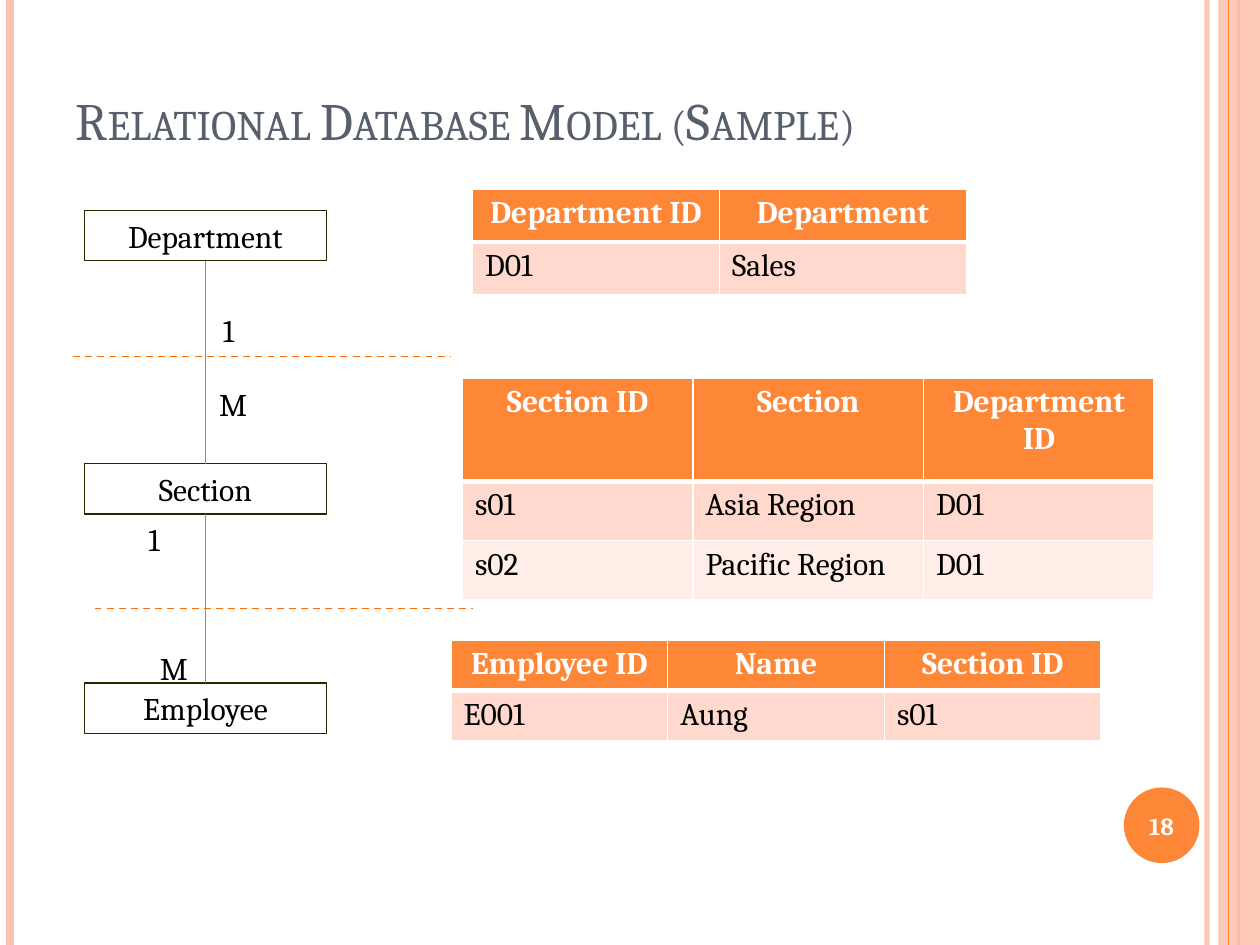
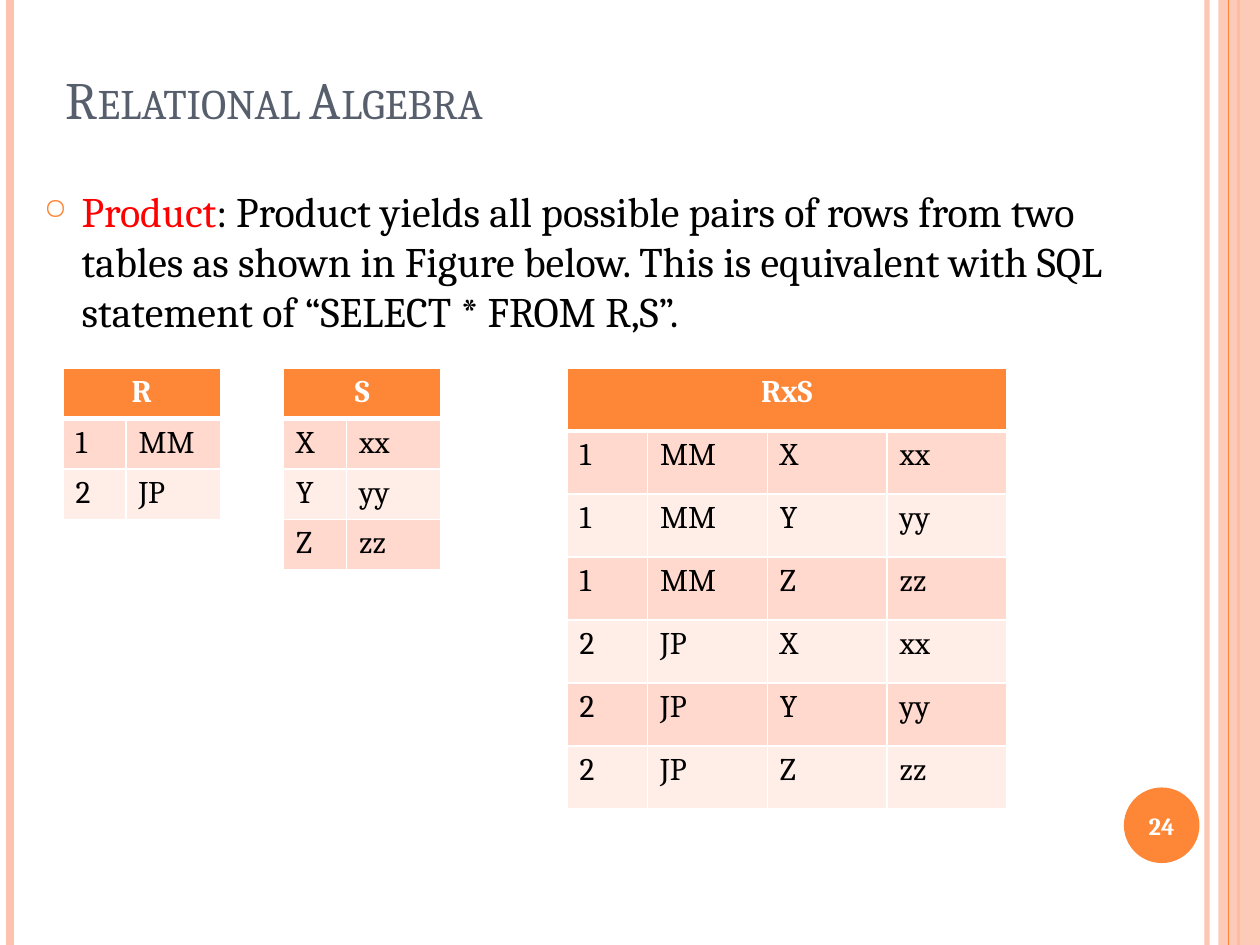
"""Builds two slides on the relational database model and relational algebra."""
import lxml.etree
import pptx
import pptx.dml.color
import pptx.enum.dml
import pptx.enum.shapes
import pptx.enum.text
import pptx.oxml.ns
import pptx.util

Inches = pptx.util.Inches
Pt = pptx.util.Pt
qn = pptx.oxml.ns.qn
ALIGN = pptx.enum.text.PP_ALIGN
ANCHOR = pptx.enum.text.MSO_ANCHOR
SHAPE = pptx.enum.shapes.MSO_SHAPE


def rgb(code):
    return pptx.dml.color.RGBColor.from_string(code)


def add_xml(parent, tag, **attributes):
    child = lxml.etree.SubElement(parent, qn(tag))
    for key, value in attributes.items():
        child.set(key, str(value))
    return child


def write(frame, text, size=18, color="000000", bold=False, align=ALIGN.LEFT,
          small_caps=False):
    paragraph = frame.paragraphs[0]
    paragraph.alignment = align
    run = paragraph.add_run()
    run.text = text
    run.font.name = "Cambria"
    run.font.size = Pt(size)
    run.font.bold = bold
    run.font.color.rgb = rgb(color)
    if small_caps:
        run.font._element.set("cap", "small")
    return paragraph


class Deck:
    ACCENT, BAND, WHITE = "FE8637", "FEC3AE", "FFFFFF"
    TITLE, LINK, OUTLINE = "575F6D", "FF6B0A", "292400"
    STRIPES = ("FFD9CE", "FFEDE8")

    def __init__(self):
        self.show = pptx.Presentation()
        self.show.slide_width = Inches(10)
        self.show.slide_height = Inches(7.5)
        self.slide = None

    def add_slide(self, title, title_box, number):
        self.slide = self.show.slides.add_slide(self.show.slide_layouts[5])
        self.decorate(number)
        heading = self.slide.shapes.title
        heading.left, heading.top, heading.width, heading.height = map(Inches, title_box)
        heading.text_frame.vertical_anchor = ANCHOR.BOTTOM
        heading.text_frame.auto_size = pptx.enum.text.MSO_AUTO_SIZE.NONE
        write(heading.text_frame, title, size=30, color=self.TITLE, small_caps=True)

    def decorate(self, number):
        for x, color, width, alpha in ((9.58, self.BAND, 3, 93), (0.08, self.BAND, 4.5, 100),
                                       (9.83, self.ACCENT, 1.5, 100)):
            self.line((x, 0), (x, 7.5), color, width, alpha=alpha)
        self.shape(SHAPE.RECTANGLE, (9.67, 0, 0.33, 7.5), fill=self.BAND, alpha=87)
        self.line((9.75, 0), (9.75, 7.5), self.ACCENT, 0.75)
        badge = self.shape(SHAPE.OVAL, (8.92, 6.25, 0.6, 0.6), fill=self.ACCENT)
        frame = badge.text_frame
        frame.margin_left = frame.margin_right = 0
        frame.vertical_anchor = ANCHOR.MIDDLE
        write(frame, number, size=14, color=self.WHITE, bold=True, align=ALIGN.CENTER)

    def fade(self, item, alpha):
        if alpha < 100:
            for color in item._element.spPr.iter(qn("a:srgbClr")):
                add_xml(color, "a:alpha", val=alpha * 1000)

    def shape(self, kind, box, fill=None, outline=None, alpha=100):
        item = self.slide.shapes.add_shape(kind, *map(Inches, box))
        item.shadow.inherit = False
        if fill:
            item.fill.solid()
            item.fill.fore_color.rgb = rgb(fill)
        else:
            item.fill.background()
        if outline:
            item.line.color.rgb = rgb(outline)
            item.line.width = Pt(0.75)
        else:
            item.line.fill.background()
        self.fade(item, alpha)
        return item

    def line(self, start, end, color, width, alpha=100, dashed=False):
        item = self.slide.shapes.add_connector(
            pptx.enum.shapes.MSO_CONNECTOR.STRAIGHT, *map(Inches, start + end))
        item.line.color.rgb = rgb(color)
        item.line.width = Pt(width)
        if dashed:
            item.line.dash_style = pptx.enum.dml.MSO_LINE.DASH
        self.fade(item, alpha)
        add_xml(item._element.spPr, "a:effectLst")
        return item

    def entity(self, name, top):
        item = self.shape(SHAPE.RECTANGLE, (0.67, top, 1.92, 0.4), outline=self.OUTLINE)
        frame = item.text_frame
        frame.vertical_anchor = ANCHOR.TOP
        frame.auto_size = pptx.enum.text.MSO_AUTO_SIZE.SHAPE_TO_FIT_TEXT
        write(frame, name, align=ALIGN.CENTER)
        return item

    def relation(self, parent, child):
        link = self.line((0, 0), (1, 1), self.LINK, 1)
        link.begin_connect(parent, 2)
        link.end_connect(child, 0)

    def text_box(self, box):
        frame = self.slide.shapes.add_textbox(*map(Inches, box)).text_frame
        frame.word_wrap = True
        return frame

    def bullet(self, box, term, explanation):
        frame = self.text_box(box)
        write(frame, term, size=24, color="FF0000")
        paragraph = write(frame, explanation, size=24)
        paragraph.space_before = Pt(6)
        properties = paragraph._p.get_or_add_pPr()
        properties.set("marL", str(Inches(0.3)))
        properties.set("indent", str(Inches(-0.3)))
        add_xml(add_xml(properties, "a:buClr"), "a:srgbClr", val=self.ACCENT)
        add_xml(properties, "a:buSzPct", val=70000)
        add_xml(properties, "a:buChar", char="○")

    def border(self, cell, top, bottom):
        properties = cell._tc.get_or_add_tcPr()
        for side, width in (("L", 1), ("R", 1), ("T", top), ("B", bottom)):
            edge = add_xml(properties, "a:ln" + side, w=Pt(width))
            add_xml(add_xml(edge, "a:solidFill"), "a:srgbClr", val=self.WHITE)

    def table(self, left, top, widths, heights, header, records):
        grid = self.slide.shapes.add_table(
            len(heights), len(widths), Inches(left), Inches(top),
            Inches(sum(widths)), Inches(sum(heights))).table
        for column, width in zip(grid.columns, widths):
            column.width = Inches(width)
        for row, height in zip(grid.rows, heights):
            row.height = Inches(height)
        if len(header) < len(widths):
            grid.cell(0, 0).merge(grid.cell(0, len(widths) - 1))
        for r in range(len(heights)):
            for c in range(len(widths)):
                cell = grid.cell(r, c)
                self.border(cell, 3 if r == 1 else 1, 3 if r == 0 else 1)
                cell.fill.solid()
                cell.fill.fore_color.rgb = rgb(self.STRIPES[(r - 1) % 2] if r else self.ACCENT)
        for c, label in enumerate(header):
            write(grid.cell(0, c).text_frame, label, color=self.WHITE, bold=True,
                  align=ALIGN.CENTER)
        for r, record in enumerate(records, 1):
            for c, value in enumerate(record):
                write(grid.cell(r, c).text_frame, value)


def add_database_model(deck):
    deck.add_slide("Relational Database Model (Sample)", (0.5, 0, 8.17, 1.25), "18")
    department = deck.entity("Department", 1.67)
    section = deck.entity("Section", 3.68)
    employee = deck.entity("Employee", 5.42)
    deck.relation(department, section)
    deck.relation(section, employee)
    for cardinality, left, top in (("1", 1.67, 2.42), ("M", 1.64, 3.01),
                                   ("1", 1.08, 4.08), ("M", 1.17, 5.1)):
        write(deck.text_box((left, top, 0.5, 0.4)), cardinality)
    for left, y in ((0.58, 2.83), (0.75, 4.83)):
        deck.line((left, y), (left + 3, y), deck.LINK, 1, dashed=True)
    deck.table(3.75, 1.5, [1.96] * 2, [0.42] * 2,
               ["Department ID", "Department"], [["D01", "Sales"]])
    deck.table(3.67, 3, [1.83] * 3, [0.82, 0.47, 0.47],
               ["Section ID", "Section", "Department ID"],
               [["s01", "Asia Region", "D01"], ["s02", "Pacific Region", "D01"]])
    deck.table(3.58, 5.08, [1.72] * 3, [0.33] * 2,
               ["Employee ID", "Name", "Section ID"], [["E001", "Aung", "s01"]])


def add_relational_algebra(deck):
    deck.add_slide("Relational Algebra", (0.42, 0.25, 8.17, 0.83), "24")
    deck.bullet((0.25, 1.42, 9.25, 5.66), "Product",
                ": Product yields all possible pairs of rows from two tables as shown in "
                "Figure below. This is equivalent with SQL statement of "
                "“SELECT * FROM R,S”.")
    r_rows = [["1", "MM"], ["2", "JP"]]
    s_rows = [["X", "xx"], ["Y", "yy"], ["Z", "zz"]]
    product = [r + s for r in r_rows for s in s_rows]
    deck.table(0.5, 2.92, [0.5, 0.75], [0.28] * 3, ["R"], r_rows)
    deck.table(2.25, 2.92, [0.5, 0.75], [0.28] * 4, ["S"], s_rows)
    deck.table(4.5, 2.92, [0.64] + [0.95] * 3, [0.5] * 7, ["RxS"], product)


def main():
    deck = Deck()
    add_database_model(deck)
    add_relational_algebra(deck)
    deck.show.save("out.pptx")


if __name__ == "__main__":
    main()
